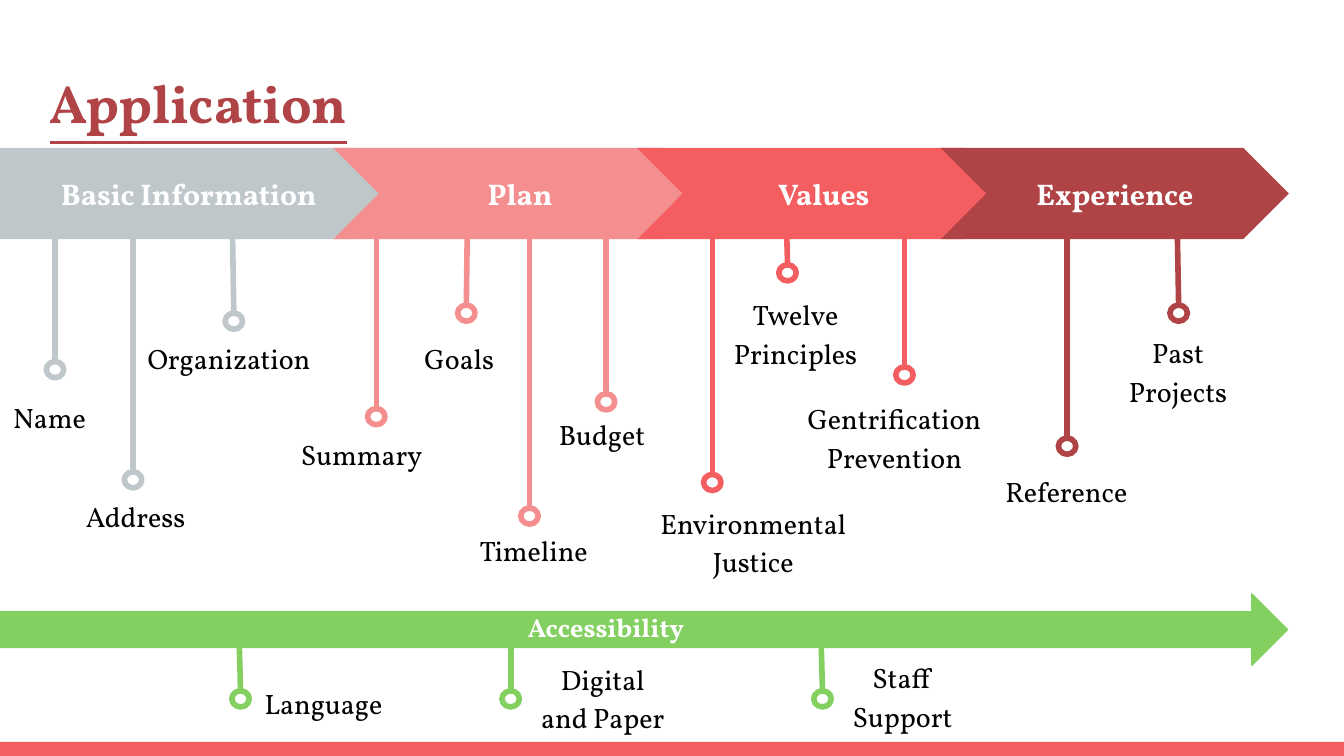
from dataclasses import dataclass
from lxml.etree import SubElement as Sub
from pptx import Presentation
from pptx.dml.color import RGBColor as RGB
from pptx.enum.shapes import MSO_CONNECTOR as Conn, MSO_SHAPE as Geo
from pptx.enum.text import MSO_ANCHOR as Anchor, PP_ALIGN as Align
from pptx.oxml.ns import qn
from pptx.util import Inches, Pt


@dataclass
class Theme:
    face: str = "Vollkorn"
    gray: str = "BFC7CA"
    pink: str = "F58F8F"
    red: str = "F55E61"
    wine: str = "AF4345"
    green: str = "83D061"
    black: str = "000000"
    white: str = "FFFFFF"
    title: float = 28.8
    stage: float = 16
    bar: float = 14
    label: float = 15


theme = Theme()
deck = Presentation()
deck.slide_width = Inches(10)
deck.slide_height = deck.slide_width * 9 // 16
slide = deck.slides.add_slide(deck.slide_layouts[6])
shapes = slide.shapes


def draw(geo, box, fill=None, line=None, width=3):
    shape = shapes.add_shape(geo, *map(Inches, box))
    shape.shadow.inherit = False
    for part, color in ((shape.fill, fill), (shape.line.fill, line)):
        if color:
            part.solid()
            part.fore_color.rgb = RGB.from_string(color)
        else:
            part.background()
    if line:
        shape.line.width = Pt(width)
    return shape


def write(shape, text, size, color, align=Align.CENTER, anchor=Anchor.TOP, space=1, **style):
    frame = shape.text_frame
    inset = Inches(0.1)
    form = dict(word_wrap=True, vertical_anchor=anchor, margin_left=inset,
                margin_right=inset, margin_top=inset, margin_bottom=inset)
    for name, value in form.items():
        setattr(frame, name, value)
    para = frame.paragraphs[0]
    para.alignment, para.line_spacing = align, space
    run = para.add_run()
    run.text = text
    for name, value in dict(name=theme.face, size=Pt(size), **style).items():
        setattr(run.font, name, value)
    run.font.color.rgb = RGB.from_string(color)


draw(Geo.RECTANGLE, (0, 5.52, 10, 0.11), theme.red)

dot_w, dot_h = 0.13, 0.12
stems = {
    theme.gray: [(0.41, 1.68, 0.41, 2.69), (0.99, 1.74, 0.99, 3.51),
                 (1.73, 1.74, 1.74, 2.33)],
    theme.pink: [(2.8, 1.78, 2.8, 3.04), (3.48, 1.46, 3.47, 2.27),
                 (3.94, 1.73, 3.94, 3.78), (4.51, 1.66, 4.51, 2.93)],
    theme.red: [(5.3, 1.43, 5.3, 3.53), (5.85, 1.62, 5.86, 1.97),
                (6.73, 1.6, 6.73, 2.73)],
    theme.wine: [(7.94, 1.73, 7.94, 3.26), (8.76, 1.72, 8.77, 2.27)],
    theme.green: [(1.78, 4.78, 1.79, 5.14), (3.8, 4.78, 3.8, 5.14),
                  (6.11, 4.78, 6.12, 5.14)],
}
for color, ends in stems.items():
    for end in ends:
        stem = shapes.add_connector(Conn.STRAIGHT, *map(Inches, end))
        stem.line.color.rgb = RGB.from_string(color)
        stem.line.width = Pt(3)
        Sub(stem.element.spPr, qn("a:effectLst"))
        draw(Geo.OVAL, (end[2] - dot_w / 2, end[3], dot_w, dot_h), line=color)

title = shapes.add_textbox(*map(Inches, (0.27, 0.42, 9.32, 0.68)))
write(title, "Application", theme.title, theme.wine, Align.LEFT, bold=True, underline=True)

stages = [
    ("Basic Information", Geo.PENTAGON, 0, 2.98, theme.gray),
    ("Plan", Geo.CHEVRON, 2.48, 2.78, theme.pink),
    ("Values", Geo.CHEVRON, 4.74, 2.78, theme.red),
    ("Experience", Geo.CHEVRON, 7, 2.59, theme.wine),
]
for text, geo, left, width, color in stages:
    stage = draw(geo, (left, 1.1, width, 0.68), color)
    write(stage, text, theme.stage, theme.white, anchor=Anchor.MIDDLE, bold=True)

draw(Geo.RIGHT_ARROW, (0, 4.42, 9.58, 0.53), theme.green, theme.green, 0.75)
bar = shapes.add_textbox(*map(Inches, (2.63, 4.45, 3.76, 0.44)))
write(bar, "Accessibility", theme.bar, theme.white, bold=True)

labels = {
    Align.LEFT: [
        ("Name", 0, 2.84, 0.78), ("Address", 0.54, 3.58, 1.14),
        ("Organization", 1, 2.4, 1.86), ("Summary", 2.14, 3.12, 1.19),
        ("Goals", 3.06, 2.4, 1.19), ("Timeline", 3.47, 3.83, 1.19),
        ("Budget", 4.06, 2.97, 0.9), ("Language", 1.87, 4.97, 1.19),
    ],
    Align.CENTER: [
        ("Environmental Justice", 4.74, 3.63, 1.73),
        ("Twelve Principles", 5.3, 2.08, 1.24),
        ("Gentrification Prevention", 5.86, 2.85, 1.59),
        ("Reference", 6.98, 3.39, 1.91), ("Past Projects", 8.12, 2.36, 1.29),
        ("Digital and Paper", 3.89, 4.79, 1.19), ("Staff Support", 6.12, 4.78, 1.19),
    ],
}
for align, group in labels.items():
    for text, left, top, width in group:
        label = shapes.add_textbox(*map(Inches, (left, top, width, 0.41)))
        write(label, text, theme.label, theme.black, align, space=1.15)

deck.save("out.pptx")
